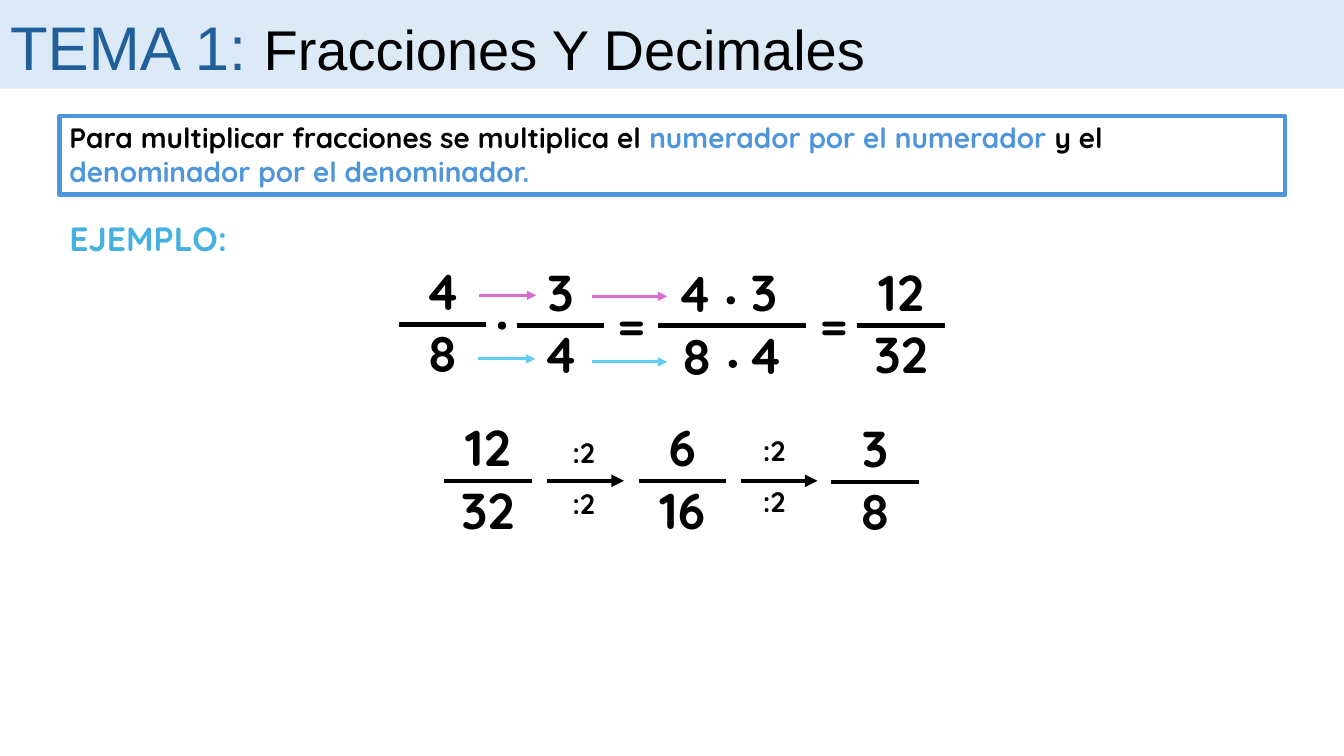
from typing import NamedTuple

from lxml import etree
from pptx import Presentation
from pptx import util as u
from pptx.dml.color import RGBColor
from pptx.enum import shapes, text
from pptx.oxml.ns import qn

HUES = {
    "black": "000000", "white": "FFFFFF", "band": "DCEAF7", "navy": "215F9A",
    "blue": "4E95D9", "sky": "46B1E1", "pink": "D86ECC", "cyan": "61CBF4",
}
FONT = "Quicksand"

deck = Presentation()
deck.slide_width, deck.slide_height = u.Inches(13.333), u.Inches(7.5)
# The grid has 100 columns and 100 rows; every place below is given in them.
COL, ROW = deck.slide_width / 100, deck.slide_height / 100
slide = deck.slides.add_slide(deck.slide_layouts[5])


class Area(NamedTuple):
    left: float
    top: float
    wide: float
    high: float


class Kind(NamedTuple):
    """Size and alignment shared by labels of one sort."""
    size: int
    wide: float
    high: float
    align: text.PP_ALIGN


class Label(NamedTuple):
    words: str
    mid: float
    row: float
    kind: Kind


class Line(NamedTuple):
    start: float
    end: float
    row: float
    hue: str = "black"
    width: float = 3
    arrow: bool = False


class Ratio(NamedTuple):
    top: str
    base: str
    mid: float
    row: float


class Run(NamedTuple):
    words: str
    hue: str
    size: int


DIGIT = Kind(36, 6.75, 9.47, text.PP_ALIGN.CENTER)
EQUAL = Kind(32, 5.78, 8.53, text.PP_ALIGN.CENTER)
STEP = Kind(20, 3.68, 5.87, text.PP_ALIGN.LEFT)
BAR = 6.5

RATIOS = [
    Ratio("4", "8", 32.93, 42.93), Ratio("3", "4", 41.7, 43.07),
    Ratio("12", "32", 67.05, 43.07), Ratio("12", "32", 36.3, 63.6),
    Ratio("6", "16", 50.78, 63.6), Ratio("3", "8", 65.1, 63.73),
]
LABELS = [
    Label("=", 46.99, 42.93, EQUAL), Label("=", 62.06, 42.93, EQUAL),
    Label("4", 51.68, 38.73, DIGIT), Label("3", 56.85, 38.6, DIGIT),
    Label("8", 51.83, 47.13, DIGIT), Label("4", 56.93, 47, DIGIT),
    Label(":2", 43.69, 59.87, STEP), Label(":2", 43.69, 66.67, STEP),
    Label(":2", 57.86, 59.6, STEP), Label(":2", 57.86, 66.4, STEP),
]
LINES = [
    Line(48.98, 60, 43.07),
    Line(40.73, 46.43, 63.6, arrow=True),
    Line(55.13, 60.83, 63.6, arrow=True),
    Line(35.63, 39.9, 39.07, "pink", 2.25, True),
    Line(35.55, 39.83, 47.47, "cyan", 2.25, True),
    Line(44.03, 49.65, 39.2, "pink", 2.25, True),
    Line(44.03, 49.65, 47.87, "cyan", 2.25, True),
]
DOTS = [(37.35, 43.07), (54.38, 39.73), (54.53, 48.13)]


def tint(name: str) -> RGBColor:
    return RGBColor.from_string(HUES[name])


def place(area: Area) -> tuple[int, ...]:
    """Turn grid units into slide lengths."""
    return tuple(round(n * unit) for n, unit in zip(area, (COL, ROW, COL, ROW)))


def write(shape, runs: list[Run], font: str = FONT, bold: bool = True,
          align: text.PP_ALIGN = text.PP_ALIGN.LEFT) -> None:
    frame = shape.text_frame
    frame.word_wrap = True
    frame.auto_size = text.MSO_AUTO_SIZE.NONE
    frame.vertical_anchor = text.MSO_ANCHOR.TOP
    para = frame.paragraphs[0]
    para.alignment, para.line_spacing = align, 1.0
    para.font.name, para.font.bold = font, bold
    para.font.size = u.Pt(runs[0].size)
    para.font.color.rgb = tint(runs[0].hue)
    for item in runs:
        run = para.add_run()
        run.text = item.words
        if item.size != runs[0].size:
            run.font.size = u.Pt(item.size)
        if item.hue != runs[0].hue:
            run.font.color.rgb = tint(item.hue)


def form(kind: shapes.MSO_SHAPE, area: Area, fill: str | None,
         edge: str | None = None, width: float = 0):
    """Add a preset shape; without a fill or edge colour that part is clear."""
    shape = slide.shapes.add_shape(kind, *place(area))
    shape.shadow.inherit = False
    for paint, hue in ((shape.fill, fill), (shape.line.fill, edge)):
        if hue:
            paint.solid()
            paint.fore_color.rgb = tint(hue)
        else:
            paint.background()
    if edge:
        shape.line.width = u.Pt(width)
    return shape


def label(item: Label) -> None:
    kind = item.kind
    area = Area(item.mid - kind.wide / 2, item.row - kind.high / 2,
                kind.wide, kind.high)
    write(slide.shapes.add_textbox(*place(area)),
          [Run(item.words, "black", kind.size)], align=kind.align)


def rule(item: Line) -> None:
    """Draw a level line, with an arrowhead if wanted."""
    y = round(item.row * ROW)
    link = slide.shapes.add_connector(
        shapes.MSO_CONNECTOR.STRAIGHT,
        round(item.start * COL), y, round(item.end * COL), y)
    link.line.color.rgb = tint(item.hue)
    link.line.width = u.Pt(item.width)
    if item.arrow:
        etree.SubElement(link.line._get_or_add_ln(), qn("a:tailEnd"), type="triangle")
    etree.SubElement(link.element.spPr, qn("a:effectLst"))


def ratio(item: Ratio) -> None:
    label(Label(item.top, item.mid, item.row - 4.47, DIGIT))
    rule(Line(item.mid - BAR / 2, item.mid + BAR / 2, item.row))
    label(Label(item.base, item.mid, item.row + 3.8, DIGIT))


def main() -> None:
    law = form(shapes.MSO_SHAPE.RECTANGLE, Area(4.43, 15.33, 91.2, 10.4),
               None, "blue", 3)
    write(law, [
        Run("Para multiplicar fracciones se multiplica el ", "black", 20),
        Run("numerador por el numerador ", "blue", 20),
        Run("y el ", "black", 20),
        Run("denominador por el denominador.", "blue", 20),
    ])
    head = slide.shapes.add_textbox(*place(Area(4.43, 28.13, 16.05, 6.67)))
    write(head, [Run("EJEMPLO:", "sky", 24)])

    for item in RATIOS:
        ratio(item)
    for item in LABELS:
        label(item)
    for x, y in DOTS:
        form(shapes.MSO_SHAPE.OVAL, Area(x - 0.23, y - 0.4, 0.46, 0.8),
             "black", "black", 1.5)
    for item in LINES:
        rule(item)

    form(shapes.MSO_SHAPE.RECTANGLE, Area(0, 0, 100, 11.73), "band")
    title = slide.shapes.title
    title.left, title.top, title.width, title.height = place(
        Area(0, 0.53, 88.88, 11.2))
    write(title, [Run("TEMA 1: ", "navy", 44),
                  Run("Fracciones Y Decimales", "black", 40)], "Arial", False)
    slide.shapes.element.append(title.element)  # above the band
    deck.save("out.pptx")


if __name__ == "__main__":
    main()
